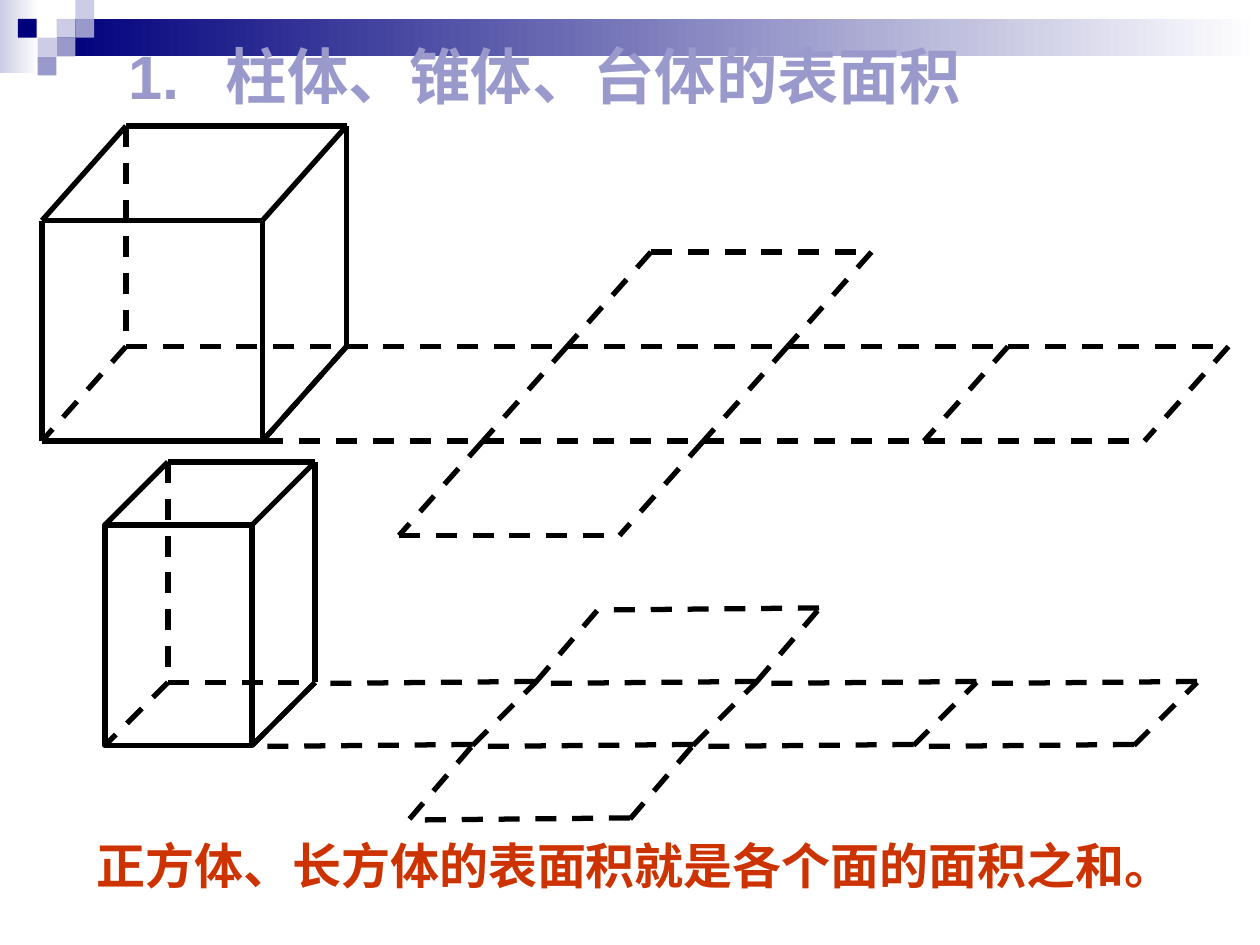
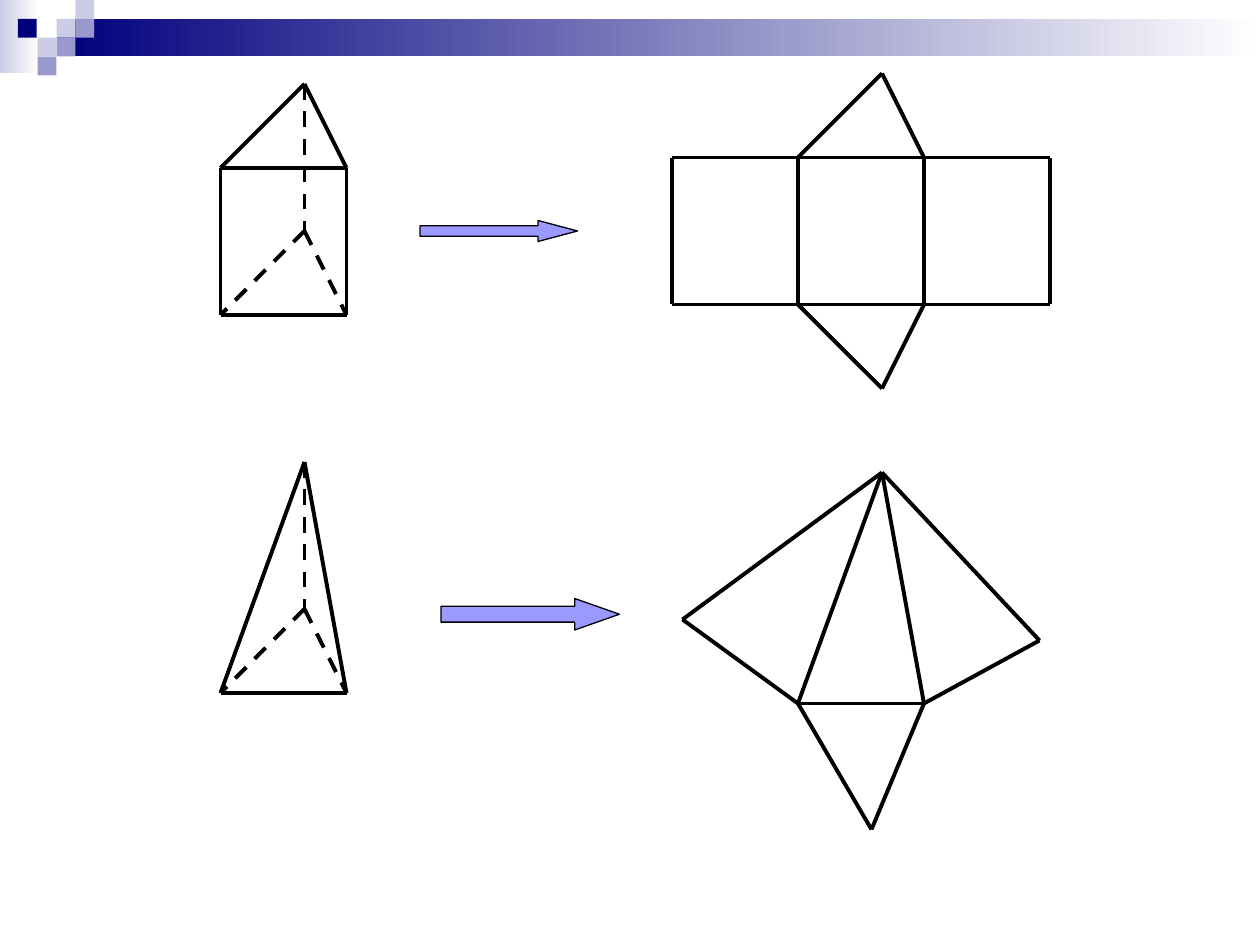
from lxml import etree
from pptx import Presentation
from pptx.dml.color import RGBColor
from pptx.enum.dml import MSO_LINE
from pptx.enum.lang import MSO_LANGUAGE_ID
from pptx.enum.shapes import MSO_CONNECTOR, MSO_SHAPE
from pptx.enum.text import MSO_ANCHOR, MSO_AUTO_SIZE, PP_ALIGN
from pptx.oxml.ns import qn
from pptx.util import Cm, Pt

RECT, ARROW = MSO_SHAPE.RECTANGLE, MSO_SHAPE.RIGHT_ARROW
STRAIGHT, DASH = MSO_CONNECTOR.STRAIGHT, MSO_LINE.DASH
TOP, LEFT, NO_FIT = MSO_ANCHOR.TOP, PP_ALIGN.LEFT, MSO_AUTO_SIZE.NONE
CHINESE = MSO_LANGUAGE_ID.SIMPLIFIED_CHINESE

NAVY, LILAC, PALE, WHITE = "00007D", "9999CC", "CCCCE6", "FFFFFF"
BLACK, RED, ARROW_BLUE = "000000", "CC3300", "9999FF"
FONT = "Arial"
GRID = 2.54 / 12

rgb = RGBColor.from_string


def write(tf, text, size, color, bold=True, tab=None):
    tf.word_wrap = True
    tf.auto_size = NO_FIT
    tf.vertical_anchor = TOP
    p = tf.paragraphs[0]
    p.alignment = LEFT
    if tab:
        tabs = etree.SubElement(p._p.get_or_add_pPr(), qn("a:tabLst"))
        etree.SubElement(tabs, qn("a:tab"), pos=str(tab), algn="l")
    r = p.add_run()
    r.text = text
    r.font.name = FONT
    r.font.size = Pt(size)
    r.font.bold = bold
    r.font.color.rgb = rgb(color)
    r.font.language_id = CHINESE


def draw_edges(s, edges, width, dashed=False):
    for start, end in edges:
        ends = [Cm(GRID * v) for v in (*start, *end)]
        edge = s.shapes.add_connector(STRAIGHT, *ends)
        edge.line.color.rgb = rgb(BLACK)
        edge.line.width = Pt(width)
        if dashed:
            edge.line.dash_style = DASH
        etree.SubElement(edge._element.spPr, qn("a:effectLst"))


prs = Presentation()
prs.slide_width, prs.slide_height = Cm(25.4), Cm(19.05)
s = prs.slides.add_slide(prs.slide_layouts[5])

bands = [
    (0, 0, 0.79, 1.47, PALE, WHITE),
    (1.14, 0.38, 24.26, 0.76, NAVY, WHITE),
]
squares = [
    (1.14, 0.38, PALE), (1.52, 0, PALE), (1.52, 0.38, LILAC), (0.76, 0.76, PALE),
    (0.36, 0.38, NAVY), (1.14, 0.76, LILAC), (0.76, 1.14, LILAC),
]
bands += [(x, y, 0.38, 0.38, color, None) for x, y, color in squares]
master_tree = prs.slide_master.shapes.element
for i, (x, y, w, h, color, fade) in enumerate(bands):
    sp = s.shapes.add_shape(RECT, Cm(x), Cm(y), Cm(w), Cm(h))
    sp.shadow.inherit = False
    sp.line.fill.background()
    if fade:
        sp.fill.gradient()
        sp.fill.gradient_angle = 0
        for stop, stop_color in zip(sp.fill.gradient_stops, (color, fade)):
            stop.color.rgb = rgb(stop_color)
    else:
        sp.fill.solid()
        sp.fill.fore_color.rgb = rgb(color)
    sp.element.nvSpPr.cNvPr.set("id", str(50 + i))
    master_tree.insert(2 + i, sp.element)

nets = [
    (33, 33, 8, 9, 8, 9, 0, False),
    (30, 65, 6, 6, 6, 7, 0.1, True),
]
SIDE = 21
for x, y, dx, dy, flap_dx, flap_dy, tilt, reverse in nets:
    low = y + dy
    upper, lower = x + SIDE, x + SIDE - dx
    rows = [(x + i * SIDE, y) for i in range(4)]
    rows += [(x - dx + i * SIDE, low) for i in range(4)]
    rows += [(upper + flap_dx, y - flap_dy), (lower - flap_dx, low + flap_dy)]
    edges = [((left, row + tilt), (left + SIDE, row - tilt)) for left, row in rows]
    edges += [((x + i * SIDE, y), (x - dx + i * SIDE, low)) for i in range(5)]
    for i in (0, SIDE):
        edges.append(((upper + flap_dx + i, y - flap_dy), (upper + i, y)))
        edges.append(((lower + i, low), (lower - flap_dx + i, low + flap_dy)))
    if reverse:
        edges = [(end, start) for start, end in edges]
    draw_edges(s, edges, 3, dashed=True)

cuboids = [(4, 21, 21, 21, 8, 9), (10, 50, 14, 21, 6, 6)]
for x, y, w, h, dx, dy in cuboids:
    right, bottom = x + w, y + h
    back_left, back_right, back_top, back_bottom = x + dx, right + dx, y - dy, bottom - dy
    draw_edges(s, [
        ((back_left, back_top), (back_left, back_bottom)),
        ((back_left, back_bottom), (back_right, back_bottom)),
        ((back_left, back_bottom), (x, bottom)),
    ], 3, dashed=True)
    draw_edges(s, [
        ((back_left, back_top), (back_right, back_top)),
        ((back_right, back_top), (back_right, back_bottom)),
        ((back_left, back_top), (x, y)),
        ((back_right, back_top), (right, y)),
        ((back_right, back_bottom), (right, bottom)),
    ], 3)
    if w == h:
        corners = [(x, y), (right, y), (right, bottom), (x, bottom)]
        draw_edges(s, zip(corners, corners[1:] + corners[:1]), 3)
    else:
        sp = s.shapes.add_shape(RECT, *[Cm(GRID * v) for v in (x, y, w, h)])
        sp.shadow.inherit = False
        sp.fill.background()
        sp.line.color.rgb = rgb(BLACK)
        sp.line.width = Pt(3)

title = s.shapes.title
title.left, title.top, title.width, title.height = Cm(2.33), Cm(0.64), Cm(20.96), Cm(1.75)
write(title.text_frame, "1.\t柱体、锥体、台体的表面积", size=35, color=LILAC, tab=Cm(1.97))
caption = s.shapes.add_textbox(Cm(1.7), Cm(16.72), Cm(23.01), Cm(1.45))
write(caption.text_frame, "正方体、长方体的表面积就是各个面的面积之和。", size=28, color=RED)

s = prs.slides.add_slide(prs.slide_layouts[6])

prism_top = [(29, 8), (21, 16), (33, 16)]
prism_base = [(29, 22), (21, 30), (33, 30)]
pyramid_apex = (29, 44)
pyramid_base = [(29, 58), (21, 66), (33, 66)]

for base, tops in ((prism_base, prism_top), (pyramid_base, [pyramid_apex] * 3)):
    back, left, right = base
    draw_edges(s, [(tops[0], back), (back, left), (back, right)], 2.25, dashed=True)
    draw_edges(s, [(left, right), (tops[1], left), (tops[2], right)], 2.25)
back, left, right = prism_top
draw_edges(s, [(back, left), (back, right), (left, right)], 2.25)

net_columns = (64, 76, 88, 100)
prism_net = [((x, 15), (x, 29)) for x in net_columns]
for y, tip in ((15, (84, 7)), (29, (84, 37))):
    prism_net += [((x, y), (x + 12, y)) for x in net_columns[:3]]
    prism_net += [(tip, (x, y)) for x in net_columns[1:3]]
draw_edges(s, prism_net, 2.25)

apex, base_left, base_right = (84, 45), (76, 67), (88, 67)
pyramid_net = [(base_left, base_right)]
for corner, wing in ((base_left, (65, 59)), (base_right, (99, 61))):
    pyramid_net += [(apex, corner), (apex, wing), (wing, corner), (corner, (83, 79))]
draw_edges(s, pyramid_net, 2.25)

for x, y, w, h, head in ((40, 21, 15, 2, 1.88), (42, 57, 17, 3, 1.42)):
    arrow = s.shapes.add_shape(ARROW, *[Cm(GRID * v) for v in (x, y, w, h)])
    arrow.shadow.inherit = False
    arrow.adjustments[0], arrow.adjustments[1] = 0.5, head
    arrow.fill.solid()
    arrow.fill.fore_color.rgb = rgb(ARROW_BLUE)
    arrow.line.color.rgb = rgb(BLACK)
    arrow.line.width = Pt(0.75)

prs.save("out.pptx")
